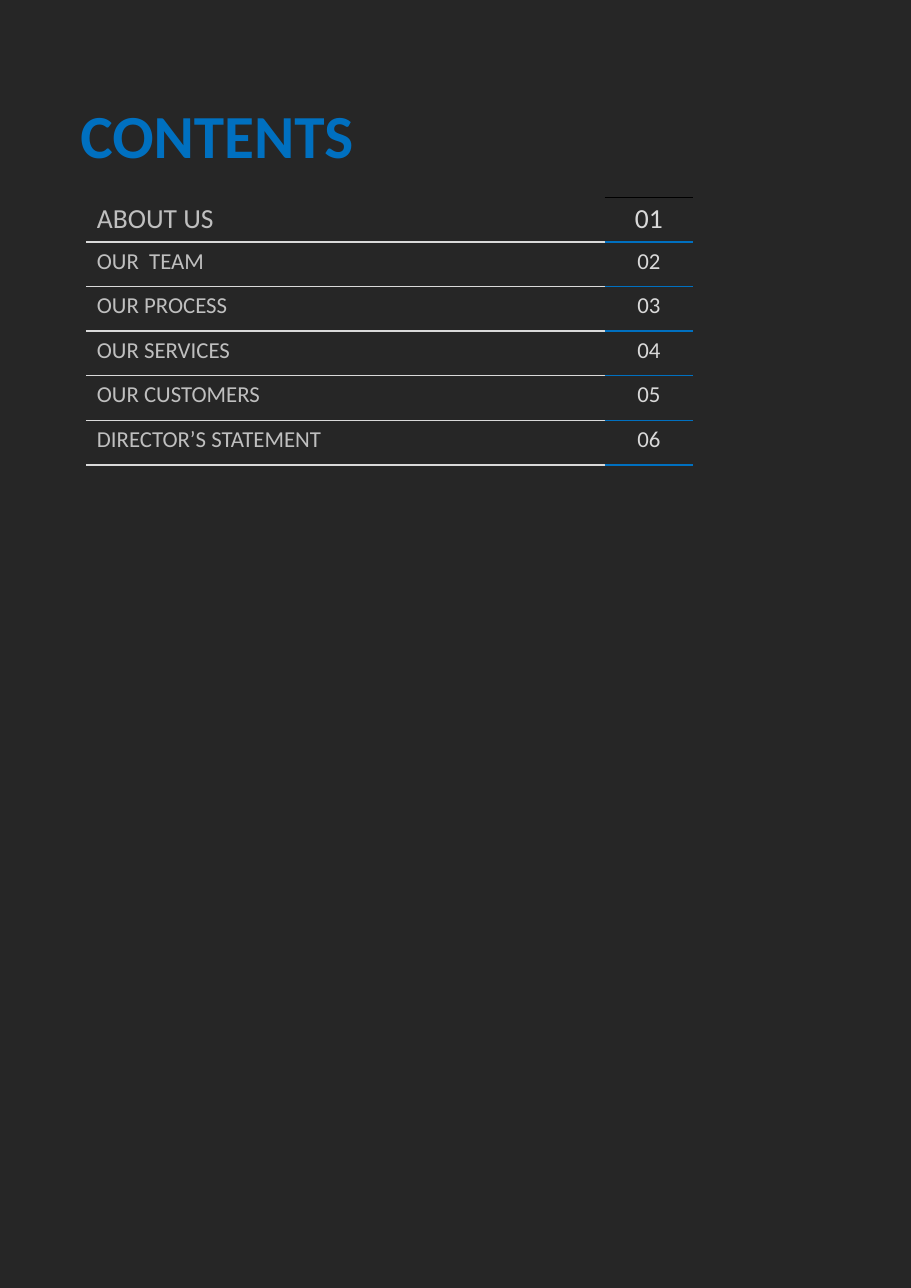
from pptx import Presentation
from pptx.dml.color import RGBColor
from pptx.enum.text import MSO_ANCHOR, MSO_AUTO_SIZE, PP_ALIGN
from pptx.oxml.ns import qn
from pptx.util import Inches, Pt
from lxml.etree import SubElement

COLORS = {
    "background": "262626",
    "accent": "0070C0",
    "label": "BFBFBF",
    "light": "D9D9D9",
    "black": "000000",
}
FONT = "Calibri"
PLAIN_TABLE_STYLE = "{2D5ABB26-0587-4C30-8999-92F81FD0307C}"
SECTIONS = [
    "ABOUT US",
    "OUR  TEAM",
    "OUR PROCESS",
    "OUR SERVICES",
    "OUR CUSTOMERS",
    "DIRECTOR’S STATEMENT",
]
NUMBER_WIDTH = 0.8


def write_text(text_frame, text, size, color, bold=False, align=PP_ALIGN.LEFT):
    """Put one formatted run of text into a text frame."""
    paragraph = text_frame.paragraphs[0]
    paragraph.alignment = align
    run = paragraph.add_run()
    run.text = text
    run.font.name = FONT
    run.font.size = Pt(size)
    run.font.bold = bold
    run.font.color.rgb = RGBColor.from_string(COLORS[color])


def add_border(cell, side, color):
    """Draw a one-point line on a side of a table cell."""
    properties = cell._tc.get_or_add_tcPr()
    line = SubElement(properties, qn(f"a:ln{side}"), w=str(Pt(1)))
    fill = SubElement(line, qn("a:solidFill"))
    SubElement(fill, qn("a:srgbClr"), val=COLORS[color])


def add_title(slide, left, top, width, height):
    """Place the page heading in the title placeholder."""
    title = slide.shapes.title
    title.left, title.top = Inches(left), Inches(top)
    title.width, title.height = Inches(width), Inches(height)
    text_frame = title.text_frame
    text_frame.word_wrap = False
    text_frame.auto_size = MSO_AUTO_SIZE.NONE
    text_frame.vertical_anchor = MSO_ANCHOR.TOP
    write_text(text_frame, "CONTENTS", 40, "accent", bold=True)


def add_contents(slide, left, top, width, height):
    """Place the numbered list of sections as a ruled table."""
    frame = slide.shapes.add_table(
        len(SECTIONS), 2, Inches(left), Inches(top), Inches(width), Inches(height)
    )
    table = frame.table
    table._tbl.tblPr.find(qn("a:tableStyleId")).text = PLAIN_TABLE_STYLE
    table.first_row = table.horz_banding = False
    table.columns[0].width = Inches(width - NUMBER_WIDTH)
    table.columns[1].width = Inches(NUMBER_WIDTH)
    for index, section in enumerate(SECTIONS):
        size = 18 if index == 0 else 14.9
        label, number = table.cell(index, 0), table.cell(index, 1)
        write_text(label.text_frame, section, size, "label")
        write_text(number.text_frame, f"{index + 1:02}", size, "light",
                   align=PP_ALIGN.CENTER)
        if index > 0:
            add_border(label, "T", "light")
        add_border(number, "T", "accent" if index > 0 else "black")
        add_border(label, "B", "light")
        add_border(number, "B", "accent")
        for cell in (label, number):
            cell.fill.background()


def main():
    """Build the contents page and save it."""
    presentation = Presentation()
    presentation.slide_width = Inches(8.27)
    presentation.slide_height = Inches(11.69)
    slide = presentation.slides.add_slide(presentation.slide_layouts[5])
    background = slide.background.fill
    background.solid()
    background.fore_color.rgb = RGBColor.from_string(COLORS["background"])
    add_title(slide, 0.63, 0.83, 3.68, 0.77)
    add_contents(slide, 0.78, 1.79, 5.51, 2.43)
    presentation.save("out.pptx")


if __name__ == "__main__":
    main()
